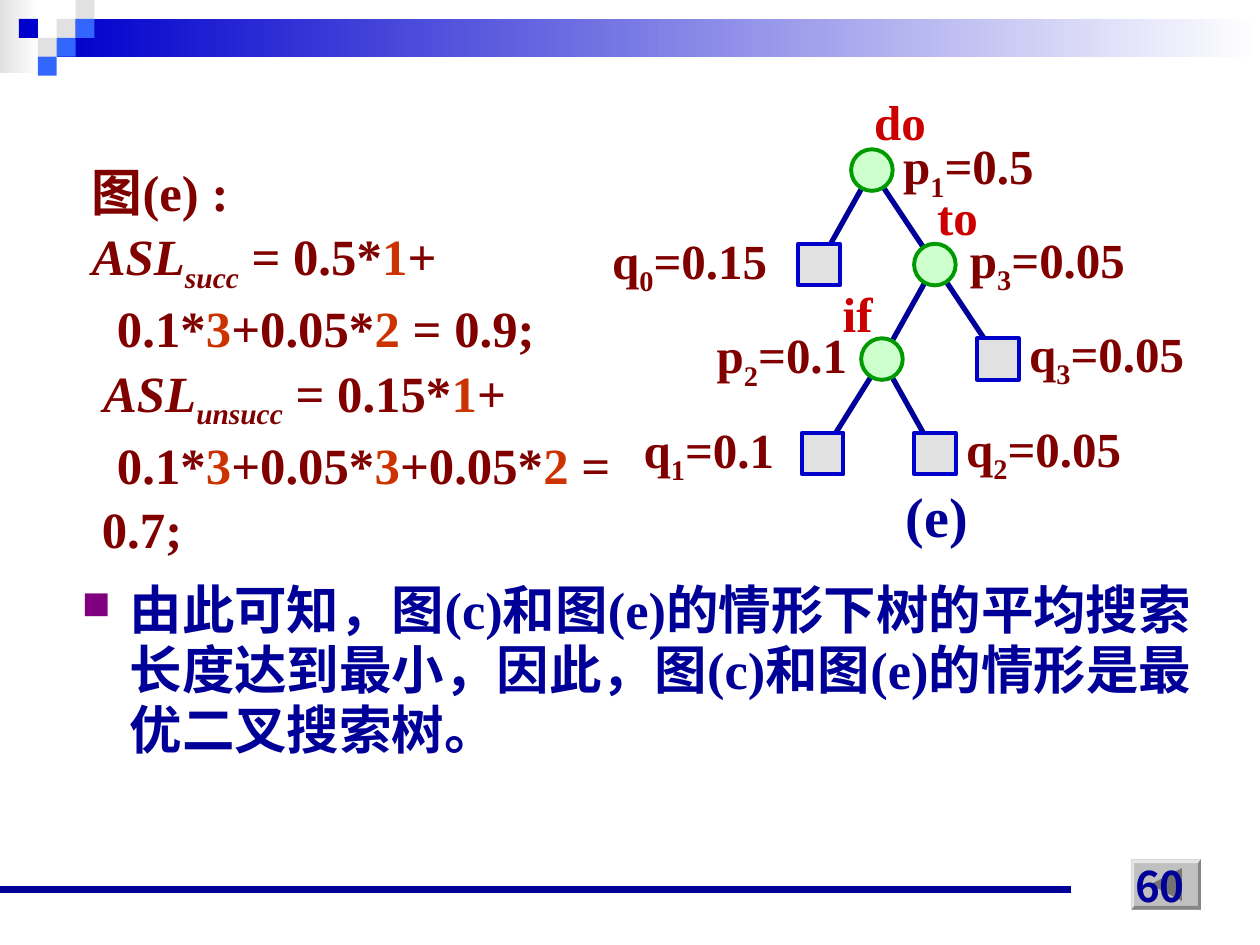
from lxml.etree import SubElement
from pptx import Presentation
from pptx.dml.color import RGBColor
from pptx.enum.shapes import MSO_CONNECTOR, MSO_SHAPE
from pptx.enum.text import MSO_ANCHOR, MSO_AUTO_SIZE, PP_ALIGN
from pptx.oxml.ns import qn
from pptx.util import Inches, Pt

HUES = {
    "white": "FFFFFF", "pale": "E1E1E1", "blue": "0000CC", "sky": "3366FF",
    "navy": "000099", "maroon": "800000", "orange": "CC3300", "red": "CC0000",
    "mint": "CCFFCC", "green": "009900", "purple": "800080",
    "face": "C0C0C0", "light": "E6E6E6", "dark": "868686", "dim": "737373",
}
SERIF, SANS = "Times New Roman", "Noto Sans CJK JP"
CELL = 0.15
NODE = 0.33

# column, row, colour of each small square in the header
TILES = [(3, 1, "pale"), (4, 0, "pale"), (4, 1, "sky"), (2, 2, "pale"),
         (1, 1, "blue"), (3, 2, "sky"), (2, 3, "sky")]

# centre and kind of each tree node
NODES = {
    "p1": (6.92, 1.35, "inner"), "q0": (6.5, 2.1, "leaf"),
    "p3": (7.42, 2.1, "inner"), "p2": (7, 2.85, "inner"),
    "q3": (7.92, 2.85, "leaf"), "q1": (6.53, 3.6, "leaf"),
    "q2": (7.42, 3.6, "leaf"),
}
STYLES = {"inner": (MSO_SHAPE.OVAL, "mint", "green"),
          "leaf": (MSO_SHAPE.RECTANGLE, "pale", "blue")}
EDGES = [("p1", "q0"), ("p1", "p3"), ("p3", "p2"), ("p3", "q3"),
         ("p2", "q1"), ("p2", "q2")]

# text, left, top, width, height, size, colour
WORDS = [("do", 6.84, 0.68, 0.63, 0.57, 28, "red"),
         ("if", 6.59, 2.2, 0.46, 0.57, 28, "red"),
         ("to", 7.34, 1.43, 0.54, 0.57, 28, "red"),
         ("(e)", 7.09, 3.77, 0.72, 0.64, 32, "navy")]
# node, value, left, top, width
ODDS = [("q0", "0.15", 4.76, 1.78, 1.46), ("q1", "0.1", 5.01, 3.28, 1.26),
        ("p1", "0.5", 7.07, 1.03, 1.26), ("q2", "0.05", 7.57, 3.27, 1.46),
        ("p2", "0.1", 5.59, 2.53, 1.26), ("q3", "0.05", 8.07, 2.52, 1.46),
        ("p3", "0.05", 7.6, 1.77, 1.46)]

# first-line start, then runs of (text, marks): i italic, s subscript, o orange
SUMS = [
    (0.3, [("图(e) :", "")]),
    (0.3, [("ASL", "i"), ("succ", "is"), (" = 0.5*", ""), ("1", "o"), ("+", "")]),
    (0.5, [("0.1*", ""), ("3", "o"), ("+0.05*", ""), ("2", "o"), (" = 0.9;", "")]),
    (0.39, [("ASL", "i"), ("unsucc", "is"), (" = 0.15*", ""), ("1", "o"), ("+", "")]),
    (0.5, [("0.1*", ""), ("3", "o"), ("+0.05*", ""), ("3", "o"), ("+0.05*", ""),
           ("2", "o"), (" = 0.7;", "")]),
]
CLAIM = ("由此可知，图(c)和图(e)的情形下树的平均搜索长度达到最小，"
         "因此，图(c)和图(e)的情形是最优二叉搜索树。")

prs = Presentation()
prs.slide_width, prs.slide_height = Inches(10), Inches(7.5)
slide = prs.slides.add_slide(prs.slide_layouts[6])
shapes = slide.shapes


def rgb(name):
    return RGBColor.from_string(HUES[name])


def block(kind, x, y, w, h, fill, line=None):
    """Add a preset shape; a pair of colours as fill fades left to right."""
    shape = shapes.add_shape(kind, Inches(x), Inches(y), Inches(w), Inches(h))
    shape.shadow.inherit = False
    if isinstance(fill, tuple):
        shape.fill.gradient()
        shape.fill.gradient_angle = 0
        for stop, name in zip(shape.fill.gradient_stops, fill):
            stop.color.rgb = rgb(name)
    else:
        shape.fill.solid()
        shape.fill.fore_color.rgb = rgb(fill)
    if line:
        shape.line.color.rgb = rgb(line)
        shape.line.width = Pt(2.25)
    else:
        shape.line.fill.background()


def rule(x1, y1, x2, y2, width):
    line = shapes.add_connector(MSO_CONNECTOR.STRAIGHT, Inches(x1), Inches(y1),
                                Inches(x2), Inches(y2))
    line.line.color.rgb = rgb("navy")
    line.line.width = Pt(width)
    SubElement(line._element.spPr, qn("a:effectLst"))


def panel(x, y, w, h):
    box = shapes.add_textbox(Inches(x), Inches(y), Inches(w), Inches(h))
    box.text_frame.word_wrap = True
    return box.text_frame


def label(x, y, w, h, runs, size, color):
    """Add one unbroken line of text in a box that fits it."""
    frame = panel(x, y, w, h)
    frame.word_wrap = False
    frame.auto_size = MSO_AUTO_SIZE.SHAPE_TO_FIT_TEXT
    write(frame.paragraphs[0], runs, size, color)


def write(para, runs, size, color, face=SERIF):
    font = para.font
    font.name, font.size, font.bold = face, Pt(size), True
    font.color.rgb = rgb(color)
    for text, marks in runs:
        run = para.add_run()
        run.text = text
        if "i" in marks:
            run.font.italic = True
        if "s" in marks:
            run.font._element.set("baseline", "-25000")
        if "o" in marks:
            run.font.color.rgb = rgb("orange")


def indent(para, left, first):
    props = para._p.get_or_add_pPr()
    props.set("marL", str(Inches(left)))
    props.set("indent", str(Inches(first - left)))
    return props


def facet(points, color):
    path = shapes.build_freeform(Inches(points[0][0]), Inches(points[0][1]))
    path.add_line_segments([(Inches(x), Inches(y)) for x, y in points[1:]])
    shape = path.convert_to_shape()
    shape.shadow.inherit = False
    shape.fill.solid()
    shape.fill.fore_color.rgb = rgb(color)
    shape.line.fill.background()


def corners(x1, y1, x2, y2):
    return [(x1, y1), (x2, y1), (x2, y2), (x1, y2)]


# Header and footer
block(MSO_SHAPE.RECTANGLE, 0, 0, 0.31, 0.58, ("pale", "white"))
block(MSO_SHAPE.RECTANGLE, 0.45, 0.15, 9.55, 0.3, ("blue", "white"))
for col, row, name in TILES:
    block(MSO_SHAPE.RECTANGLE, col * CELL, row * CELL, CELL, CELL, name)
rule(0, 7.06, 8.5, 7.06, 4.5)

# Conclusion
para = panel(0.55, 4.57, 9.06, 1.67).paragraphs[0]
para.line_spacing = 0.95
props = indent(para, 0.38, 0)
tint = SubElement(props, qn("a:buClr"))
SubElement(tint, qn("a:srgbClr"), val=HUES["purple"])
SubElement(props, qn("a:buSzPct"), val="75000")
SubElement(props, qn("a:buChar"), char="■")
write(para, [(CLAIM, "")], 30, "navy")

# Tree
for top, end in EDGES:
    rule(*NODES[top][:2], *NODES[end][:2], 3)
for x, y, kind in NODES.values():
    form, fill, line = STYLES[kind]
    block(form, x - NODE / 2, y - NODE / 2, NODE, NODE, fill, line)
for text, x, y, w, h, size, color in WORDS:
    label(x, y, w, h, [(text, "")], size, color)
for name, value, x, y, w in ODDS:
    runs = [(name[0], ""), (name[1], "s"), ("=" + value, "")]
    label(x, y, w, 0.63, runs, 28, "maroon")

# Back button
outer = corners(8.98, 6.82, 9.53, 7.22)
inner = corners(9, 6.85, 9.51, 7.19)
facet(outer, "face")
for i, shade in enumerate(("light", "dark", "dark", "light")):
    j = (i + 1) % 4
    facet([outer[i], outer[j], inner[j], inner[i]], shade)
facet([(9.13, 7.02), (9.38, 6.89), (9.38, 7.15)], "dim")

# Search lengths
frame = panel(0.33, 1.2, 4.75, 3.5)
for i, (start, runs) in enumerate(SUMS):
    para = frame.add_paragraph() if i else frame.paragraphs[0]
    para.line_spacing = 1.05
    indent(para, 0.38, start)
    write(para, runs, 29, "maroon")

# Page number
frame = panel(7.17, 6.78, 2.33, 0.5)
frame.vertical_anchor = MSO_ANCHOR.BOTTOM
frame.paragraphs[0].alignment = PP_ALIGN.RIGHT
write(frame.paragraphs[0], [("60", "")], 24, "navy", SANS)

prs.save("out.pptx")
